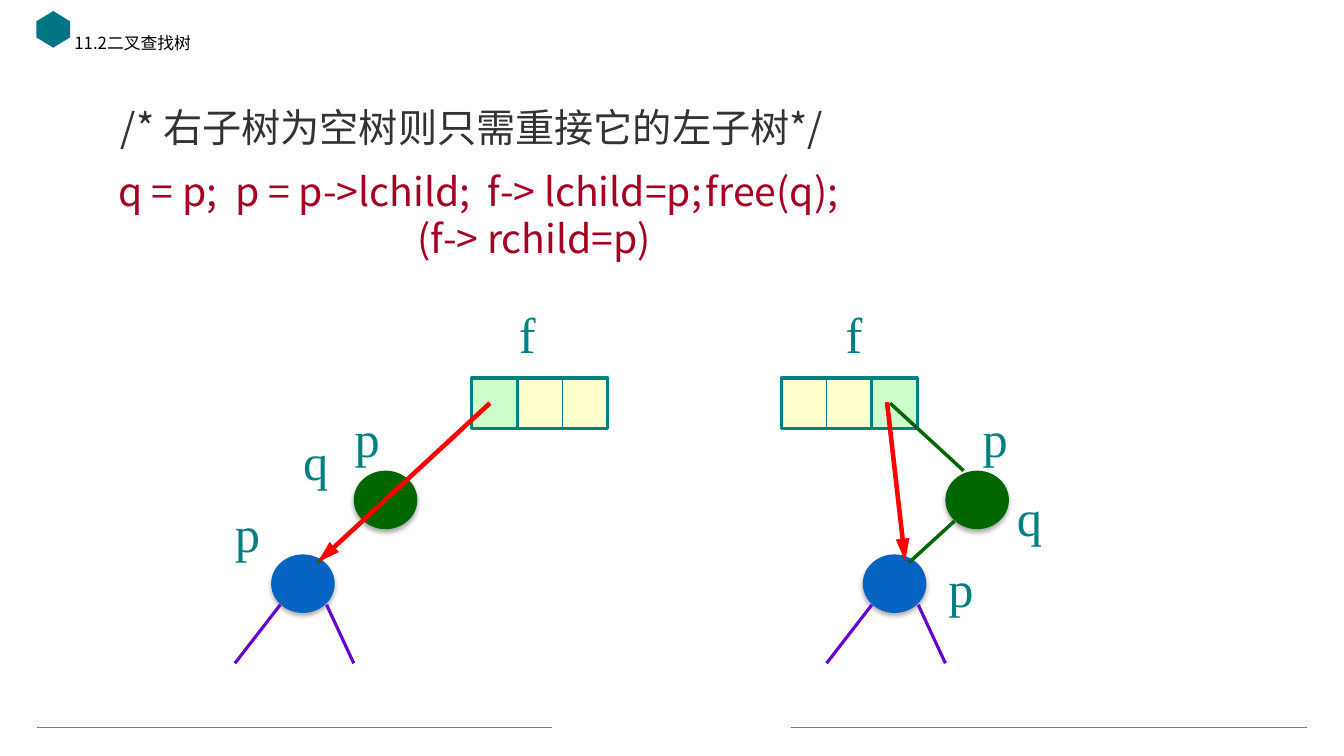
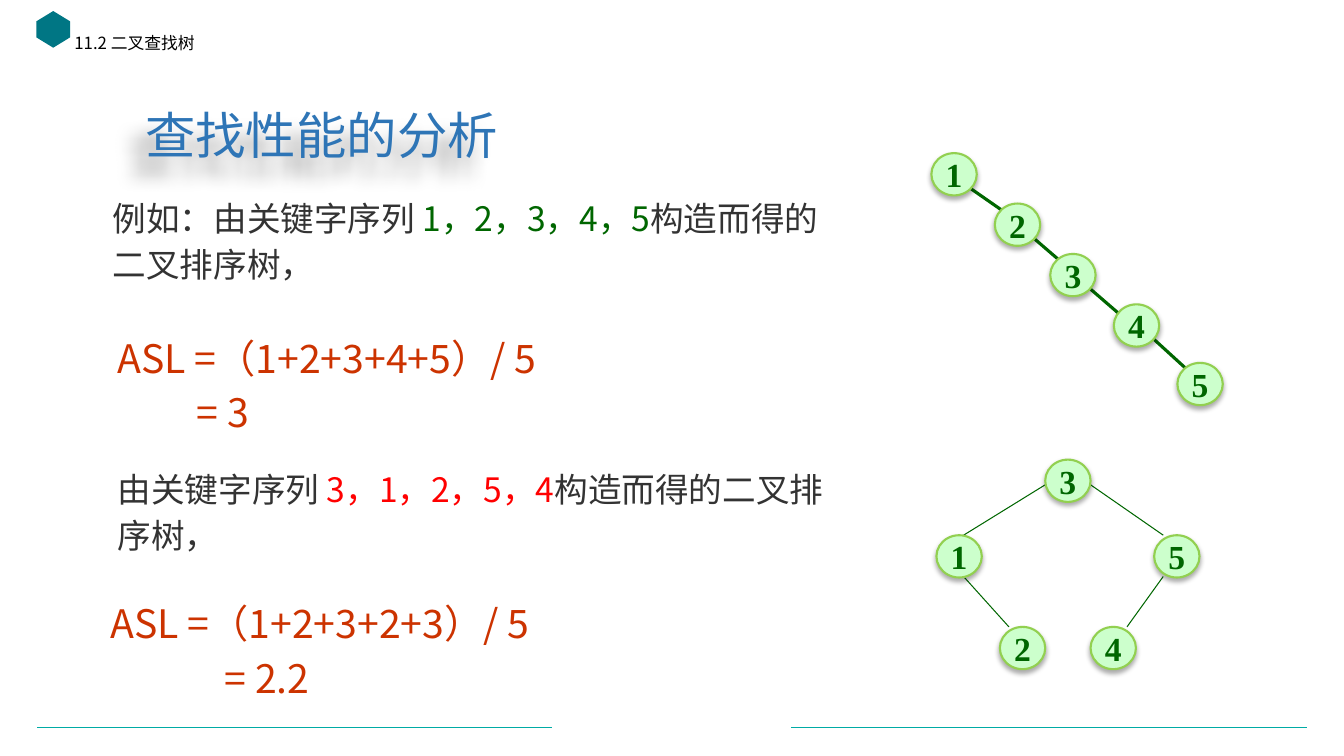
from lxml import etree
from pptx import Presentation
from pptx.dml.color import RGBColor
from pptx.enum.shapes import MSO_CONNECTOR, MSO_SHAPE
from pptx.enum.text import MSO_ANCHOR, PP_ALIGN
from pptx.oxml.ns import qn
from pptx.util import Pt

LINE = MSO_CONNECTOR.STRAIGHT
RECT, OVAL, HEX = MSO_SHAPE.RECTANGLE, MSO_SHAPE.OVAL, MSO_SHAPE.HEXAGON
MID, LOW, CENTER = MSO_ANCHOR.MIDDLE, MSO_ANCHOR.BOTTOM, PP_ALIGN.CENTER

SANS, SERIF = "Noto Sans CJK SC", "Times New Roman"
TEAL, DARK, RULE = "008080", "007684", "00ABA5"
GREEN, MINT, CREAM, LIME = "006600", "CCFFCC", "FFFFCC", "92D050"
BLUE, SKY, VIOLET, RED = "0563C1", "2E75B6", "6600CC", "FF0000"
WINE, RUST, GREY, BLACK = "A50021", "CC3300", "333333", "000000"

# Shared frame: footer rules as (start x, end x), and the corner mark
RULES = [(26.6, 394.6), (565.2, 933.8)]
RULE_Y = 520
MARK = (24.9, 9, 26.2, 24)
# Shadow: blur, distance, angle, opacity in percent
SOFT, LONG = (3.5, 2.2, 90, 32), (12, 19, 135, 35)

# Text blocks: box, wrap, line spacing, paragraphs (indent, runs (text, size, colour))
DELETE = [
    ((72.7, 53.3, 723.6, 58.3), True, 1.5, [
        (6.5, [("/* 右子树为空树则只需重接它的左子树*/", 28, GREY)])]),
    ((77.8, 115.9, 713.5, 74.9), True, 1, [
        (0, [("q = p;  p = p->lchild;  f-> lchild=p;", 28, WINE),
             (" ", 12, GREY), ("free(q);", 28, WINE)]),
        (213.5, [("(f-> rchild=p)", 28, WINE)])]),
]
COST = [
    ((73.4, 133.2, 526.3, 74.2), True, 1.15, [
        (0, [("例如：由关键字序列 ", 24, GREY), ("1，2，3，4，5", 24, GREEN),
             ("构造而得的二叉排序树，", 24, GREY)])]),
    ((77, 230.4, 354.2, 85), False, 1.15, [
        (0, [("ASL =（1+2+3+4+5）/ 5", 28, RUST)]),
        (56.5, [("= 3", 28, RUST)])]),
    ((77, 326.9, 532.8, 74.2), True, 1.15, [
        (0, [("由关键字序列 ", 24, GREY), ("3，1，2，5，4", 24, RED),
             ("构造而得的二叉排序树，", 24, GREY)])]),
    ((72, 419.8, 398.2, 85), True, 1.15, [
        (0, [("ASL =（1+2+3+2+3）/ 5", 28, RUST)]),
        (81.5, [("= 2.2", 28, RUST)])]),
]

# Pointer diagram: the same pair of nodes stands twice, STEP apart
STEP = 422.6
CELL, CELL_Y, CELL_H = 32.4, 270, 36
FIELDS = [(337, 369.4), (622.8, 558)]  # x of link field, x of the other two
BALLS = [(252.7, 336.2, GREEN), (193.7, 396, BLUE)]
LIMBS = [(200.2, 432, 167.8, 473.8, VIOLET, 2.25),
         (233.3, 432, 252.7, 473.8, VIOLET, 2.25),
         (259.2, 372.2, 226.8, 401.8, GREEN, 2.5)]
LINKS = [(349.9, 288, 291.6, 342), (635.8, 288, 688.3, 336.2)]
ARROWS = [(349.9, 288, 226.8, 401.8), (633.6, 287.3, 646.6, 401)]
NAMES = [("f", 363.6, 213.1), ("f", 596.9, 213.1), ("p", 246.2, 287.3),
         ("p", 694.8, 287.3), ("p", 160.6, 355), ("q", 209.5, 303.8),
         ("q", 719.3, 343.4), ("p", 670.3, 394.6)]

# Search trees: edge width, edges, nodes (key, x, y)
TREES = [
    (2.25,
     [(691.2, 133.2, 717.1, 151.2), (737.3, 169.2, 758.2, 187.2),
      (773.3, 201.6, 799.9, 224.6), (823, 241.2, 847.4, 263.5)],
     [("1", 665.3, 109.4), ("2", 710.6, 145.4), ("3", 750.2, 181.4),
      ("4", 795.6, 217.4), ("5", 841, 259.2)]),
    (0.75,
     [(746.6, 346.3, 688.3, 382.3), (779, 346.3, 830.9, 382.3),
      (688.3, 411.8, 720.7, 447.8), (830.9, 411.8, 805, 447.8)],
     [("3", 746.6, 328.3), ("5", 824.4, 382.3), ("4", 779, 447.8),
      ("1", 668.9, 382.3), ("2", 714.2, 447.8)]),
]


def rgb(code):
    return RGBColor.from_string(code)


def put(item, **vals):
    for key, val in vals.items():
        setattr(item, key, val)


def add_run(para, text, size, color, face=SANS, bold=False):
    run = para.add_run()
    run.text = text
    run.font.color.rgb = rgb(color)
    put(run.font, size=Pt(size), bold=bold, name=face)
    east = etree.SubElement(run._r.get_or_add_rPr(), qn("a:ea"))
    east.set("typeface", face)


def add_text(slide, box, wrap, space, paras, face=SANS, **form):
    shape = slide.shapes.add_textbox(*map(Pt, box))
    frame = shape.text_frame
    put(frame, word_wrap=wrap)
    for num, (indent, runs) in enumerate(paras):
        para = frame.add_paragraph() if num else frame.paragraphs[0]
        put(para, line_spacing=space, **form)
        if indent:
            props = para._p.get_or_add_pPr()
            for key, val in {"marL": Pt(indent), "indent": 0}.items():
                props.set(key, str(int(val)))
        for run in runs:
            add_run(para, *run, face=face)
    return shape


def add_shade(shape, blur, dist, angle, alpha):
    shape.shadow.inherit = False
    glow = etree.SubElement(shape._element.spPr.find(qn("a:effectLst")),
                            qn("a:outerShdw"))
    vals = {"blurRad": Pt(blur), "dist": Pt(dist), "dir": angle * 60000,
            "algn": "ctr", "rotWithShape": 0}
    for key, val in vals.items():
        glow.set(key, str(val))
    color = etree.SubElement(glow, qn("a:srgbClr"), val=BLACK)
    etree.SubElement(color, qn("a:alpha"), val=str(alpha * 1000))


def add_form(slide, kind, box, fill, edge=None, width=0):
    shape = slide.shapes.add_shape(kind, *map(Pt, box))
    shape.shadow.inherit = False
    shape.fill.solid()
    shape.fill.fore_color.rgb = rgb(fill)
    if edge:
        shape.line.color.rgb = rgb(edge)
        shape.line.width = Pt(width)
    else:
        shape.line.fill.background()
    return shape


def add_line(slide, x1, y1, x2, y2, color, width, arrow=False):
    line = slide.shapes.add_connector(LINE, *map(Pt, (x1, y1, x2, y2)))
    line.line.color.rgb = rgb(color)
    line.line.width = Pt(width)
    props = line._element.spPr
    if arrow:
        etree.SubElement(props.find(qn("a:ln")), qn("a:tailEnd"),
                         type="triangle", w="med", len="lg")
    etree.SubElement(props, qn("a:effectLst"))
    return line


def add_page(deck, head, blocks):
    slide = deck.slides.add_slide(deck.slide_layouts[6])
    for left, right in RULES:
        add_line(slide, left, RULE_Y, right, RULE_Y, RULE, 0.75)
    mark = add_form(slide, HEX, MARK, DARK)
    mark.rotation = 90
    mark.adjustments[0] = 0.305
    add_text(slide, (46.1, 21.6, 383, 25.9), True, 0.9,
             [(0, [(head, 12, BLACK)])])
    for block in blocks:
        add_text(slide, *block)
    return slide


def draw_links(slide):
    # Records of three fields
    for link, rest in FIELDS:
        add_form(slide, RECT, (link, CELL_Y, CELL, CELL_H), MINT, TEAL, 2.25)
        pair = add_form(slide, RECT, (rest, CELL_Y, 2 * CELL, CELL_H),
                        CREAM, TEAL, 2.25)
        mid = rest + CELL
        split = add_line(slide, mid, CELL_Y, mid, CELL_Y + CELL_H, TEAL, 0.75)
        split.begin_connect(pair, 0)
        split.end_connect(pair, 2)
    # Nodes with their branches
    for shift in (0, STEP):
        for x, y, fill in BALLS:
            ball = add_form(slide, OVAL, (x + shift, y, 45.4, 41.8), fill)
            add_shade(ball, *SOFT)
        for x1, y1, x2, y2, color, width in LIMBS:
            add_line(slide, x1 + shift, y1, x2 + shift, y2, color, width)
    # Old links, new links and names
    for ends in LINKS:
        add_line(slide, *ends, GREEN, 2.5)
    for ends in ARROWS:
        add_line(slide, *ends, RED, 3.25, arrow=True)
    for name, x, y in NAMES:
        add_text(slide, (x, y, 34, 51), False, 1,
                 [(0, [(name, 36, TEAL)])], face=SERIF)


def draw_trees(slide):
    for width, edges, nodes in TREES:
        for ends in edges:
            add_line(slide, *ends, GREEN, width)
        for key, x, y in nodes:
            node = add_form(slide, OVAL, (x, y, 32.4, 30.2), MINT, LIME, 1.5)
            add_shade(node, *SOFT)
            put(node.text_frame, word_wrap=False, vertical_anchor=MID)
            para = node.text_frame.paragraphs[0]
            para.alignment = CENTER
            add_run(para, key, 24, GREEN, SERIF, True)


def main():
    deck = Presentation()
    put(deck, slide_width=Pt(960), slide_height=Pt(540))
    draw_links(add_page(deck, "11.2二叉查找树", DELETE))
    slide = add_page(deck, "11.2 二叉查找树", COST)
    draw_trees(slide)
    title = add_text(slide, (66.2, 74.9, 326.9, 46.8), True, 0.9,
                     [(0, [("查找性能的分析", 36, SKY)])], alignment=CENTER)
    title.text_frame.vertical_anchor = LOW
    add_shade(title, *LONG)
    deck.save("out.pptx")


if __name__ == "__main__":
    main()
